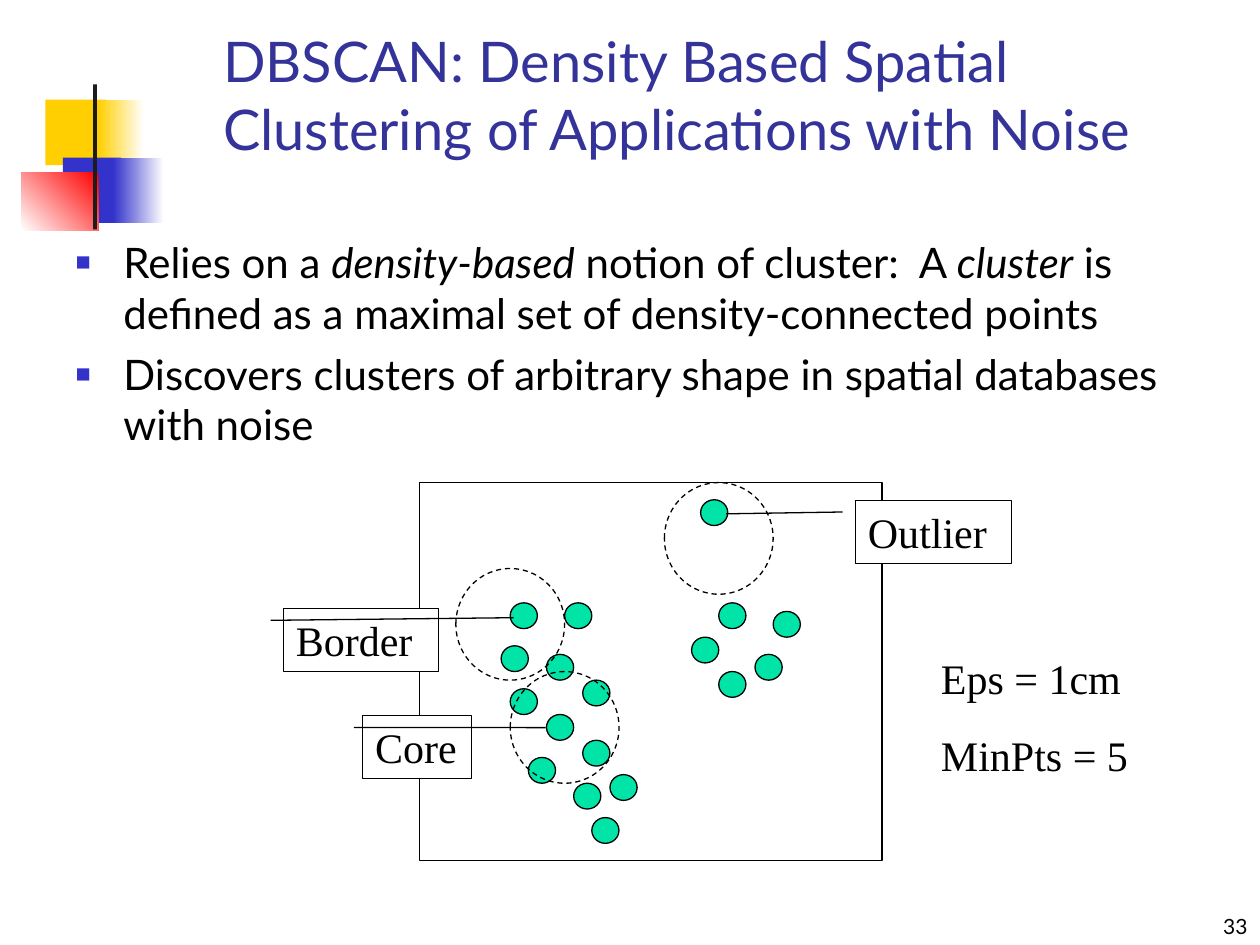
from lxml.etree import SubElement
from pptx import Presentation
from pptx.dml.color import RGBColor
from pptx.enum.dml import MSO_LINE
from pptx.enum.shapes import MSO_SHAPE as Shape
from pptx.enum.text import MSO_ANCHOR as Anchor, MSO_AUTO_SIZE as AutoSize, PP_ALIGN as Align
from pptx.oxml.ns import qn
from pptx.util import Inches, Pt

COLORS = {
    "white": "FFFFFF", "black": "000000", "yellow": "FFCF01", "blue": "3333CC",
    "red": "FF0000", "bar": "1C1C1C", "title": "333399", "point": "00E4A8",
}
SANS, SERIF = "Lato", "Times New Roman"
CELL = 0.1                                # slide grid: 100 columns by 75 rows
PLOT = (33.3, 38.3, 36.7, 30)             # plot frame on the slide grid
PLOT_COLS, PLOT_ROWS = 51, 44             # finer grid inside the plot


def color(name):
    return RGBColor.from_string(COLORS[name])


def in_plot(col, row, cols, rows):
    """Turn plot cells into slide grid cells."""
    left, top, width, height = PLOT
    dx, dy = width / PLOT_COLS, height / PLOT_ROWS
    return left + col * dx, top + row * dy, cols * dx, rows * dy


class SlideBuilder:
    def __init__(self, slide):
        self.slide = slide

    def place(self, cells):
        return [Inches(cell * CELL) for cell in cells]

    def shape(self, kind, cells, fill=None, line=None, dashed=False):
        shape = self.slide.shapes.add_shape(kind, *self.place(cells))
        shape.shadow.inherit = False
        if fill:
            shape.fill.solid()
            shape.fill.fore_color.rgb = color(fill)
        else:
            shape.fill.background()
        if line:
            shape.line.color.rgb = color(line)
            shape.line.width = Pt(0.75)
            if dashed:
                shape.line.dash_style = MSO_LINE.DASH
        else:
            shape.line.fill.background()
        return shape

    def fade(self, cells, start, end, angle):
        fill = self.shape(Shape.RECTANGLE, cells).fill
        fill.gradient()
        fill.gradient_angle = angle
        for stop, name, position in zip(fill.gradient_stops, (start, end), (0, 1)):
            stop.color.rgb = color(name)
            stop.position = position

    def fill_text(self, frame, paragraphs, font, size, ink="black", align=Align.LEFT,
                  anchor=Anchor.TOP, gap=0, bullets=False):
        """Each paragraph is a list of (text, italic) runs."""
        frame.word_wrap = True
        frame.auto_size = AutoSize.NONE
        frame.vertical_anchor = anchor
        for index, runs in enumerate(paragraphs):
            paragraph = frame.add_paragraph() if index else frame.paragraphs[0]
            if bullets:
                self.bullet(paragraph)
            paragraph.alignment = align
            paragraph.space_before = Pt(gap if index else 0)
            for text, italic in runs:
                run = paragraph.add_run()
                run.text = text
                run.font.name, run.font.size = font, Pt(size)
                run.font.italic = italic
                run.font.color.rgb = color(ink)

    def bullet(self, paragraph):
        props = paragraph._p.get_or_add_pPr()
        props.set("marL", str(Inches(0.38)))
        props.set("indent", str(Inches(-0.38)))
        tint = SubElement(props, qn("a:buClr"))
        SubElement(tint, qn("a:srgbClr"), val=COLORS["blue"])
        SubElement(props, qn("a:buSzPct"), val="60000")
        SubElement(props, qn("a:buFont"), typeface="Arial")
        SubElement(props, qn("a:buChar"), char="■")

    def placeholder(self, holder, cells, paragraphs, **style):
        holder.left, holder.top, holder.width, holder.height = self.place(cells)
        self.fill_text(holder.text_frame, paragraphs, SANS, **style)

    def text(self, cells, lines, font, size, **style):
        box = self.slide.shapes.add_textbox(*self.place(cells))
        self.fill_text(box.text_frame, [[(line, False)] for line in lines], font, size, **style)

    def point(self, col, row):
        self.shape(Shape.OVAL, in_plot(col, row, 3, 3), "point", "black")

    def neighbourhood(self, col, row):
        self.shape(Shape.OVAL, in_plot(col, row, 12, 13), line="black", dashed=True)

    def callout(self, cells, label, tip_y, tip_x):
        box = self.shape(Shape.LINE_CALLOUT_1, cells, "white", "black")
        for index, value in enumerate((0.188, -0.083, tip_y, tip_x)):
            box.adjustments[index] = value
        self.fill_text(box.text_frame, [[(label, False)]], SERIF, 24)


def main():
    deck = Presentation()
    deck.slide_width, deck.slide_height = Inches(10), Inches(7.5)
    slide = deck.slides.add_slide(deck.slide_layouts[1])
    build = SlideBuilder(slide)

    # Corner ornament
    build.shape(Shape.RECTANGLE, (3.6, 7.9, 4.8, 5.2), "yellow")
    build.fade((7.8, 7.9, 3.6, 5.2), "white", "yellow", 180)
    build.shape(Shape.RECTANGLE, (5, 12.5, 4.6, 5.2), "blue")
    build.fade((9, 12.5, 4, 5.2), "white", "blue", 180)
    build.fade((1.7, 13.7, 6.1, 4.6), "red", "white", 225)
    build.shape(Shape.RECTANGLE, (7.4, 6.7, 0.3, 11.5), "bar")

    # Title and list
    build.placeholder(
        slide.shapes.title, (16.7, 2.5, 79.2, 10.8),
        [[("DBSCAN: Density Based Spatial Clustering of Applications with Noise", False)]],
        size=32, ink="title", anchor=Anchor.BOTTOM)
    build.placeholder(
        slide.placeholders[1], (5, 18.3, 90.8, 53.3),
        [[("Relies on a ", False), ("density-based", True),
          (" notion of cluster:  A ", False), ("cluster", True),
          (" is defined as a maximal set of density-connected points", False)],
         [("Discovers clusters of arbitrary shape in spatial databases with noise", False)]],
        size=24, gap=6, bullets=True)

    # Points: left cluster, right cluster, outlier
    left_cluster = [(10, 14), (9, 19), (14, 20), (16, 14), (18, 23), (10, 24),
                    (14, 27), (12, 32), (17, 35), (19, 39), (18, 30), (21, 34)]
    right_cluster = [(33, 14), (30, 18), (37, 20), (39, 15), (33, 22)]
    outlier = (31, 2)
    for col, row in left_cluster + right_cluster + [outlier]:
        build.point(col, row)

    # Plot frame and Eps neighbourhoods
    build.shape(Shape.RECTANGLE, PLOT, line="black")
    for col, row in [(4, 10), (10, 22), (27, 0)]:
        build.neighbourhood(col, row)

    # Callouts and parameters
    build.callout((28.8, 56.8, 8.6, 5), "Core", 0.191, 1.687)
    build.callout((22.5, 48.3, 12.3, 5), "Border", 0.146, 1.485)
    build.callout((67.9, 39.7, 12.4, 5), "Outlier", 0.217, -0.828)
    build.text((73.7, 51.3, 18, 11.1), ["Eps = 1cm", "MinPts = 5"], SERIF, 24, gap=15)

    # Page number
    build.text((79.2, 70.8, 20.8, 4.2), ["33"], SANS, 12,
               align=Align.RIGHT, anchor=Anchor.BOTTOM)

    deck.save("out.pptx")


if __name__ == "__main__":
    main()
